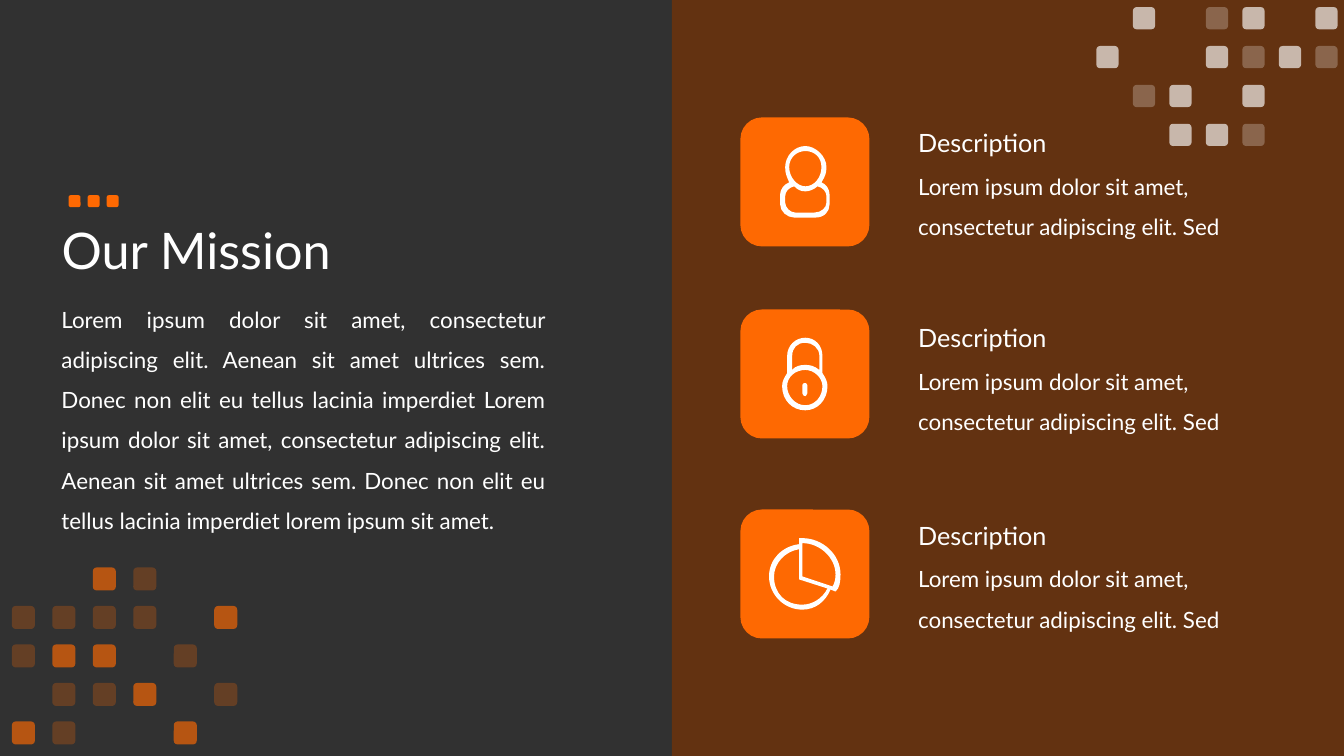
"""Build the "Our Mission" slide with three icon features and dot patterns."""
from dataclasses import dataclass
from itertools import islice

from lxml import etree
from pptx import Presentation
from pptx import util as u
from pptx.dml import color as c
from pptx.enum import shapes, text
from pptx.oxml import ns

COLORS = {"dark": "313131", "brown": "7F3401", "orange": "FE6902", "white": "FFFFFF"}
FONT = "Lato"
OPACITY = {"@": 100, "#": 65, "o": 25}
ICON_UNIT = u.Cm(2.54) / 100
MISSION = (
    "Lorem ipsum dolor sit amet, consectetur adipiscing elit. Aenean sit amet "
    "ultrices sem. Donec non elit eu tellus lacinia imperdiet Lorem ipsum dolor "
    "sit amet, consectetur adipiscing elit. Aenean sit amet ultrices sem. Donec "
    "non elit eu tellus lacinia imperdiet lorem ipsum sit amet."
)
DETAIL = "Lorem ipsum dolor sit amet, consectetur adipiscing elit. Sed"


@dataclass(frozen=True)
class Dots:
    """A grid of rounded squares, one map character per cell."""
    left: float
    top: float
    pitch_x: float
    pitch_y: float
    size: float
    color: str
    rows: tuple[str, ...]


@dataclass(frozen=True)
class Feature:
    """A tile with an icon, a heading and a detail text."""
    tile_top: float
    heading_top: float
    detail_top: float
    icon_left: float
    icon_top: float
    contours: tuple[str, ...]


DOTS = (
    Dots(1.73, 4.92, 0.48, 0.48, 0.3, "orange", ("@@@",)),
    Dots(27.63, 0.18, 0.92, 0.98, 0.56, "white",
         (".#.o#.#", "#..#o#o", ".o#.#..", "..##o..")),
    Dots(0.3, 14.3, 1.02, 0.97, 0.58, "orange",
         ("..#o..", "oooo.#", "o##.o.", ".oo#.o", "#o..#.")),
)
PERSON = (
    "M 41 36 C 44 31 46 28 46 21 C 46 10 35 0 25 0 C 14 0 5 10 5 21 C 5 28 7 31 9 36 "
    "C 4 38 0 43 0 48 L 0 58 C 0 65 7 71 14 71 L 35 71 C 44 71 49 65 49 58 L 49 48 "
    "C 49 43 46 38 41 36",
    "M 9 21 C 9 11 17 5 25 5 C 34 5 41 11 41 21 C 41 31 34 40 25 40 C 17 40 9 31 9 21",
    "M 46 56 C 46 61 41 66 34 66 L 15 66 C 10 66 5 61 5 56 L 5 50 C 5 45 9 41 14 40 "
    "C 17 43 20 45 25 45 C 29 45 34 43 37 40 C 42 41 46 45 46 50",
)
PADLOCK = (
    "M 40 35 L 40 18 C 40 8 33 0 23 0 C 13 0 5 8 5 18 L 5 35 C 2 40 0 43 0 48 "
    "C 0 62 10 72 23 72 C 35 72 45 62 45 48 C 45 43 43 40 40 35",
    "M 10 18 C 10 10 15 5 23 5 C 30 5 37 10 37 18 L 37 32 C 32 28 28 27 23 27 "
    "C 18 27 13 28 10 32",
    "M 23 67 C 13 67 5 58 5 48 C 5 39 13 32 23 32 C 32 32 40 40 40 48 C 40 58 33 67 23 67",
    "M 23 45 C 22 45 20 45 20 47 L 20 55 C 20 57 22 58 23 58 C 23 58 25 57 25 55 "
    "L 25 47 C 25 45 23 45 23 45",
)
PIE = (
    "M 33 0 L 30 0 L 30 6 C 13 8 0 21 0 38 C 0 56 15 71 33 71 C 46 71 56 63 61 51 "
    "L 66 53 C 70 50 71 43 71 36 C 71 16 53 0 33 0",
    "M 33 66 C 16 66 5 55 5 38 C 5 25 16 13 30 11 L 30 41 L 58 50 C 53 60 43 66 33 66",
    "M 63 48 L 33 38 L 33 5 C 51 5 66 20 66 36 C 66 41 65 45 63 48",
)
FEATURES = (
    Feature(2.96, 3.09, 3.89, 19.66, 3.68, PERSON),
    Feature(7.8, 8.0, 8.81, 19.71, 8.51, PADLOCK),
    Feature(12.84, 12.98, 13.79, 19.38, 13.56, PIE),
)


def paint(sp, color: str, opacity: int = 100) -> None:
    """Give a shape a plain fill without line or shadow."""
    sp.shadow.inherit = False
    sp.line.fill.background()
    sp.fill.solid()
    sp.fill.fore_color.rgb = c.RGBColor.from_string(COLORS[color])
    if opacity < 100:
        clr = sp.element.spPr.find(".//" + ns.qn("a:srgbClr"))
        etree.SubElement(clr, ns.qn("a:alpha"), val=str(opacity * 1000))


def style(p, size: float, spacing: float, align=text.PP_ALIGN.LEFT) -> None:
    """Format a paragraph in white."""
    p.alignment = align
    p.line_spacing = spacing
    p.font.name = FONT
    p.font.size = u.Pt(size)
    p.font.color.rgb = c.RGBColor.from_string(COLORS["white"])


def add_text(s, box: tuple[float, ...], words: str, size: float, spacing: float,
             align=text.PP_ALIGN.LEFT) -> None:
    """Add a wrapping text box given in centimetres."""
    tf = s.shapes.add_textbox(*map(u.Cm, box)).text_frame
    tf.word_wrap = True
    tf.auto_size = text.MSO_AUTO_SIZE.SHAPE_TO_FIT_TEXT
    p = tf.paragraphs[0]
    p.text = words
    style(p, size, spacing, align)


def add_square(parent, left: float, top: float, size: float, color: str,
               opacity: int = 100) -> None:
    """Add a rounded square to a slide or group."""
    box = map(u.Cm, (left, top, size, size))
    sp = parent.shapes.add_shape(shapes.MSO_SHAPE.ROUNDED_RECTANGLE, *box)
    paint(sp, color, opacity)


def add_dots(s, dots: Dots) -> None:
    """Draw the marked cells of a dot grid as a group."""
    group = s.shapes.add_group_shape()
    for row, marks in enumerate(dots.rows):
        for col, mark in enumerate(marks):
            if mark in OPACITY:
                add_square(group, dots.left + col * dots.pitch_x,
                           dots.top + row * dots.pitch_y,
                           dots.size, dots.color, OPACITY[mark])


def trace(contour: str) -> list[tuple[float, float]]:
    """List the vertices and curve handles of a contour."""
    values = [float(w) * ICON_UNIT for w in contour.split() if w.isdigit()]
    return list(zip(values[::2], values[1::2]))


def bend(sp, contours: tuple[str, ...]) -> None:
    """Join each three segments of a C command into a Bézier curve."""
    segments = iter(list(sp.element.iter(ns.qn("a:lnTo"))))
    for command in " ".join(contours).split():
        if command == "L":
            next(segments)
        elif command == "C":
            curve = etree.Element(ns.qn("a:cubicBezTo"))
            for i, segment in enumerate(islice(segments, 3)):
                if i == 0:
                    segment.addprevious(curve)
                curve.append(segment[0])
                segment.getparent().remove(segment)


def add_icon(s, feature: Feature) -> None:
    """Draw an icon as one white outline with holes."""
    outer, *holes = map(trace, feature.contours)
    builder = s.shapes.build_freeform(*outer[0])
    builder.add_line_segments(outer[1:], close=True)
    for hole in holes:
        builder.move_to(*hole[0])
        builder.add_line_segments(hole[1:], close=True)
    sp = builder.convert_to_shape(u.Cm(feature.icon_left), u.Cm(feature.icon_top))
    bend(sp, feature.contours)
    paint(sp, "white")


def add_feature(s, feature: Feature) -> None:
    """Draw one feature row."""
    add_square(s, 18.66, feature.tile_top, 3.25, "orange")
    add_text(s, (22.89, feature.detail_top, 10.11, 2.18), DETAIL, 16, 1.5)
    add_text(s, (22.89, feature.heading_top, 5.97, 1.02), "Description", 18, 1.0)
    add_icon(s, feature)


def add_title(s) -> None:
    """Fill and place the title placeholder."""
    sp = s.shapes.title
    sp.left, sp.top, sp.width, sp.height = map(u.Cm, (1.3, 4.27, 29.21, 4.24))
    tf = sp.text_frame
    tf.text = "Our Mission"
    tf.auto_size = text.MSO_AUTO_SIZE.NONE
    tf.vertical_anchor = text.MSO_ANCHOR.MIDDLE
    style(tf.paragraphs[0], 36, 0.9)


def main() -> None:
    """Build and save the slide."""
    prs = Presentation()
    prs.slide_width, prs.slide_height = u.Cm(33.87), u.Cm(19.05)
    s = prs.slides.add_slide(prs.slide_layouts.get_by_name("Title Only"))
    s.background.fill.solid()
    s.background.fill.fore_color.rgb = c.RGBColor.from_string(COLORS["dark"])
    half = prs.slide_width // 2
    panel = s.shapes.add_shape(shapes.MSO_SHAPE.RECTANGLE, half, 0, half, prs.slide_height)
    paint(panel, "brown", 65)
    s.shapes.title.element.addprevious(panel.element)
    add_title(s)
    add_text(s, (1.3, 7.24, 12.7, 6.27), MISSION, 16, 1.5, text.PP_ALIGN.JUSTIFY)
    for feature in FEATURES:
        add_feature(s, feature)
    for dots in DOTS:
        add_dots(s, dots)
    prs.save("out.pptx")


if __name__ == "__main__":
    main()
